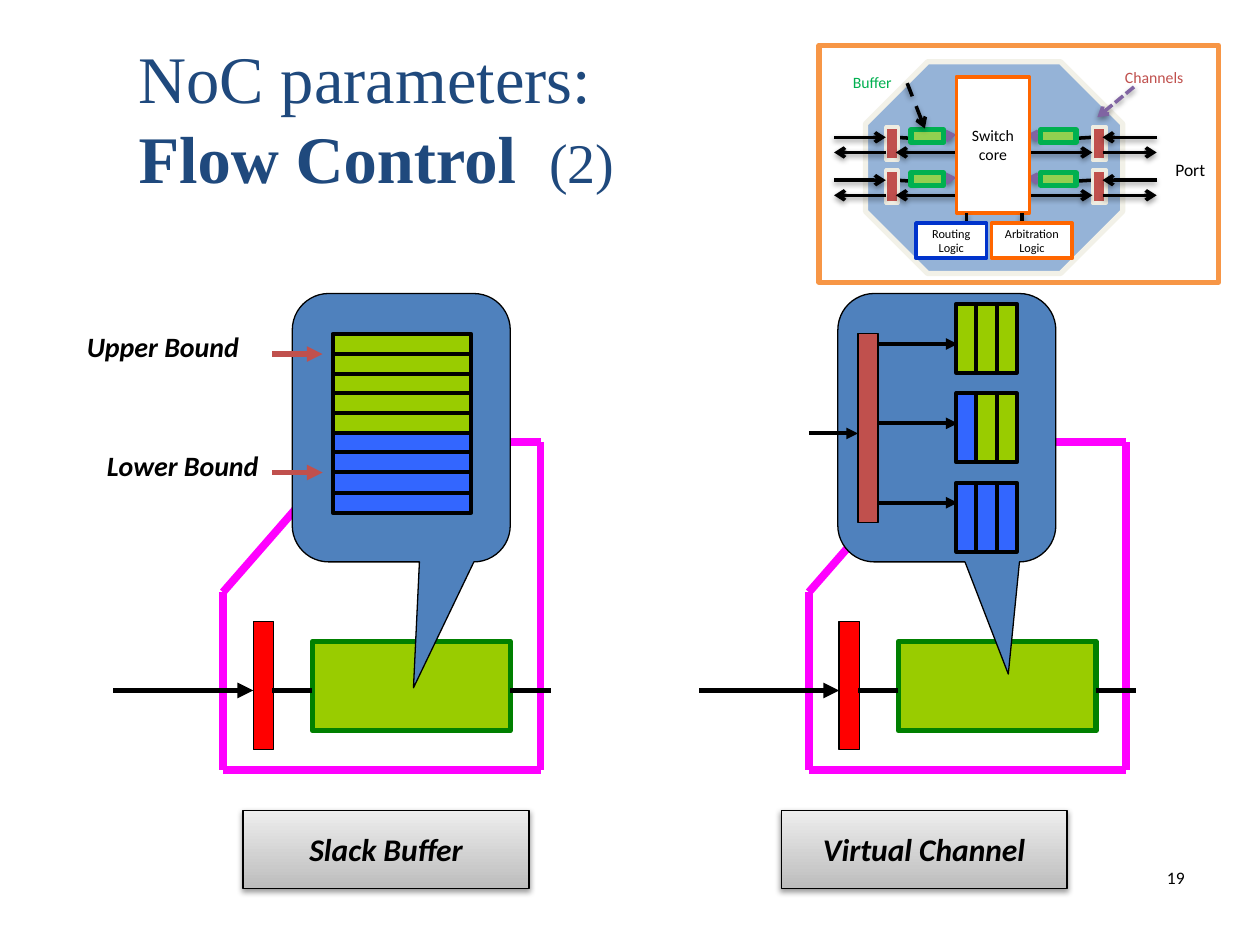
from lxml.etree import SubElement
from pptx import Presentation
from pptx.dml.color import RGBColor
from pptx.enum.dml import MSO_LINE as Dash
from pptx.enum.shapes import MSO_CONNECTOR, MSO_SHAPE as Shape
from pptx.enum.text import MSO_ANCHOR as Anchor, MSO_AUTO_SIZE as AutoSize, PP_ALIGN as Align
from pptx.oxml.ns import qn
from pptx.util import Pt

PX = 9144  # EMU per px, 100 px to the inch

BLACK = RGBColor(0x00, 0x00, 0x00)
WHITE = RGBColor(0xFF, 0xFF, 0xFF)
NAVY = RGBColor(0x1F, 0x49, 0x7D)
ORANGE = RGBColor(0xF7, 0x96, 0x46)
DEEP_ORANGE = RGBColor(0xFF, 0x66, 0x00)
ROUTER_BLUE = RGBColor(0x95, 0xB3, 0xD7)
IVORY = RGBColor(0xF2, 0xF1, 0xE8)
TAN = RGBColor(0xEE, 0xEC, 0xE1)
PURPLE = RGBColor(0x80, 0x64, 0xA2)
BRICK = RGBColor(0xC0, 0x50, 0x4D)
LIGHT_GREEN = RGBColor(0x92, 0xD0, 0x50)
GREEN = RGBColor(0x00, 0xB0, 0x50)
ROYAL_BLUE = RGBColor(0x00, 0x33, 0xCC)
MAGENTA = RGBColor(0xFF, 0x00, 0xFF)
RED = RGBColor(0xFF, 0x00, 0x00)
LIME = RGBColor(0x99, 0xCC, 0x00)
DARK_GREEN = RGBColor(0x00, 0x80, 0x00)
CALLOUT_BLUE = RGBColor(0x4F, 0x81, 0xBD)
CELL_BLUE = RGBColor(0x33, 0x66, 0xFF)
DARK_GREY = RGBColor(0xBD, 0xBD, 0xBD)
PALE_GREY = RGBColor(0xEE, 0xEE, 0xEE)


class Diagram:
    """Draws styled elements, with lengths in px, on the slide or the open group."""

    def __init__(self, slide, font="Calibri", title_font="Times New Roman"):
        self.slide = slide
        self.shapes = slide.shapes
        self.font = font
        self.title_font = title_font

    def open_group(self):
        self.shapes = self.slide.shapes.add_group_shape().shapes

    def close_group(self):
        self.shapes = self.slide.shapes

    def title(self, box, first, bold, rest, tab):
        """Two-line title; the second line is bold up to a tab stop."""
        title = self.slide.shapes.title
        title.left, title.top, title.width, title.height = (v * PX for v in box)
        frame = title.text_frame
        frame.auto_size, frame.vertical_anchor = AutoSize.NONE, Anchor.MIDDLE
        upper, lower = frame.paragraphs[0], frame.add_paragraph()
        upper.text = first
        for text, size, is_bold in ((bold + "\t", 38, True), (rest, 32, False)):
            run = lower.add_run()
            run.text = text
            run.font.size, run.font.bold = Pt(size), is_bold
        for line in (upper, lower):
            line.alignment = Align.LEFT
            line.font.name, line.font.size = self.title_font, Pt(38)
            line.font.color.rgb = NAVY
        stops = SubElement(lower._p.get_or_add_pPr(), qn("a:tabLst"))
        lower._p.pPr.insert(0, stops)
        SubElement(stops, qn("a:tab"), pos=str(tab * PX), algn="l")

    def set_text(self, frame, text, size, color=BLACK, strong=False, align=Align.LEFT):
        line = frame.paragraphs[0]
        line.text, line.alignment = text, align
        font = line.font
        font.name, font.size = self.font, Pt(size)
        font.color.rgb = color
        if strong:
            font.bold = font.italic = True

    def label(self, box, text, size, wrap=False, **style):
        label = self.shapes.add_textbox(*(v * PX for v in box))
        label.text_frame.word_wrap = wrap
        self.set_text(label.text_frame, text, size, **style)

    def block(self, box, fill, line, weight, kind=Shape.RECTANGLE, adjust=()):
        block = self.shapes.add_shape(kind, *(v * PX for v in box))
        block.shadow.inherit = False
        for index, value in enumerate(adjust):
            block.adjustments[index] = value
        block.fill.solid()
        block.fill.fore_color.rgb = fill
        block.line.color.rgb, block.line.width = line, Pt(weight)
        return block

    def text_block(self, box, text, size, line, weight=2, **style):
        block = self.block(box, WHITE, line, weight)
        frame = block.text_frame
        frame.word_wrap, frame.vertical_anchor = True, Anchor.MIDDLE
        frame.margin_left = frame.margin_right = 5 * PX
        frame.margin_top = frame.margin_bottom = 0
        self.set_text(frame, text, size, align=Align.CENTER, **style)
        return block

    def caption(self, box, text):
        caption = self.text_block(box, text, 18, BLACK, 0.75, strong=True)
        caption.fill.gradient()
        caption.fill.gradient_angle = 90
        for stop, grey in zip(caption.fill.gradient_stops, (DARK_GREY, PALE_GREY)):
            stop.color.rgb = grey
        self.cast_shadow(caption._element.spPr.find(qn("a:effectLst")))

    def cast_shadow(self, effects):
        shadow = SubElement(effects, qn("a:outerShdw"), blurRad="40000", dist="20000",
                            dir="5400000", rotWithShape="0")
        black = SubElement(shadow, qn("a:srgbClr"), val="000000")
        SubElement(black, qn("a:alpha"), val="38000")

    def line(self, x1, y1, x2, y2, color=BLACK, weight=3.0, tip=None, dash=None, shadow=False):
        """Line whose optional arrowhead sits at its second end."""
        line = self.shapes.add_connector(MSO_CONNECTOR.STRAIGHT, *(v * PX for v in (x1, y1, x2, y2)))
        line.line.color.rgb, line.line.width = color, Pt(weight)
        if dash:
            line.line.dash_style = dash
        properties = line._element.spPr
        if tip:
            SubElement(properties.find(qn("a:ln")), qn("a:tailEnd"), type=tip)
        effects = SubElement(properties, qn("a:effectLst"))
        if shadow:
            self.cast_shadow(effects)

    def wire(self, *ends, color=BLACK, tip=None, dash=None):
        self.line(*ends, color=color, weight=2, tip=tip, dash=dash, shadow=True)


def draw_router_port(diagram, y, outer, latch, latch_width, inner, link, buffer, buffer_width, stub, core):
    """One input and output pair; the x positions run from the edge to the core."""
    near, far = stub
    diagram.wire(near, y + 7, far, y + 6, color=PURPLE, tip="arrow")
    diagram.wire(inner, y + 8, link, y + 9)
    diagram.block((min(latch, inner), y, latch_width, 26), BRICK, TAN, 2)
    diagram.block((buffer, y + 2, buffer_width, 10), LIGHT_GREEN, GREEN, 3)
    diagram.wire(core, y + 20, inner, y + 20, tip="arrow")
    diagram.wire(latch, y + 20, outer, y + 20, tip="arrow")
    diagram.wire(outer, y + 8, latch, y + 8, tip="arrow")


def draw_router(diagram):
    diagram.open_group()
    diagram.block((650, 36, 317, 188), WHITE, ORANGE, 3)
    diagram.block((687, 49, 204, 168), ROUTER_BLUE, IVORY, 3, Shape.OCTAGON)
    left = (662, 703, 10, 711, 727, 723, 26, (749, 759), 771)
    right = (918, 875, 11, 867, 850, 826, 28, (826, 815), 803)
    for side in (left, right):
        for y in (101, 135):
            draw_router_port(diagram, y, *side)
    diagram.text_block((759, 61, 58, 108), "Switch core", 9, DEEP_ORANGE)
    for x in (767, 811):
        diagram.wire(x, 169, x, 181)
    diagram.text_block((727, 177, 56, 28), "Routing Logic", 7, ROYAL_BLUE)
    diagram.text_block((787, 177, 64, 28), "Arbitration Logic", 7, DEEP_ORANGE)
    diagram.label((923, 121, 45, 27), "Port", 10)
    diagram.label((883, 49, 73, 25), "Channels", 9, color=BRICK)
    diagram.label((667, 53, 53, 25), "Buffer", 9, color=GREEN)
    diagram.wire(720, 66, 734, 102, tip="arrow", dash=Dash.DASH)
    diagram.wire(900, 69, 871, 93, color=PURPLE, tip="arrow", dash=Dash.SQUARE_DOT)
    diagram.close_group()


def draw_buffered_port(diagram, x, callout_left, pointer):
    """Port outline, register and buffer, with a callout that enlarges the buffer."""
    corners = [(x + 103, 352), (x, 470), (x, 611), (x + 252, 611), (x + 252, 351), (x + 118, 351)]
    for start, end in zip(corners, corners[1:]):
        diagram.line(*start, *end, color=MAGENTA, weight=4.5)
    diagram.block((x + 24, 493, 16, 102), RED, BLACK, 0.75)
    diagram.block((x + 71, 509, 157, 71), LIME, DARK_GREEN, 3)
    diagram.line(x - 87, 548, x + 24, 548, tip="triangle")
    for start in (x + 39, x + 228):
        diagram.line(start, 548, start + 32, 548)
    diagram.block((callout_left, 233, 173, 213), CALLOUT_BLUE, BLACK, 0.75,
                  Shape.ROUNDED_RECTANGULAR_CALLOUT, (*pointer, 0.167))


def draw_slack_buffer(diagram):
    draw_buffered_port(diagram, 177, 232, (0.056, 0.969))
    for row in range(9):
        diagram.block((264, 265 + round(row * 15.75), 110, 16),
                      LIME if row < 5 else CELL_BLUE, BLACK, 2.25)
    for text, left, top, y in (("Upper Bound", 59, 257, 281), ("Lower Bound", 75, 351, 375)):
        diagram.label((left, top, 162, 37), text, 16, strong=True)
        diagram.line(216, y, 256, y, color=BRICK, tip="triangle")
    diagram.caption((193, 643, 227, 62), "Slack Buffer")


def draw_virtual_channel(diagram):
    draw_buffered_port(diagram, 642, 665, (0.282, 0.918))
    diagram.block((681, 265, 16, 150), BRICK, BLACK, 0.75)
    diagram.line(642, 344, 681, 344, weight=2.25, tip="triangle")
    for lane, filled in enumerate((0, 1, 3)):
        for cell in range(3):
            diagram.block((759 + 16 * cell, 241 + 71 * lane, 16, 55),
                          CELL_BLUE if cell < filled else LIME, BLACK, 2.25)
        y = 273 + 63 * lane
        diagram.line(697, y, 760, y, weight=2.25, tip="triangle")
    diagram.caption((620, 643, 227, 62), "Virtual Channel")


def main():
    deck = Presentation()
    deck.slide_width, deck.slide_height = 1000 * PX, 750 * PX
    diagram = Diagram(deck.slides.add_slide(deck.slide_layouts[5]))
    diagram.title((100, 30, 541, 125), "NoC parameters:", "Flow Control", "(2)", 326)
    diagram.label((742, 683, 208, 50), "19", 10, wrap=True, align=Align.RIGHT)
    draw_router(diagram)
    draw_slack_buffer(diagram)
    draw_virtual_channel(diagram)
    deck.save("out.pptx")


if __name__ == "__main__":
    main()
